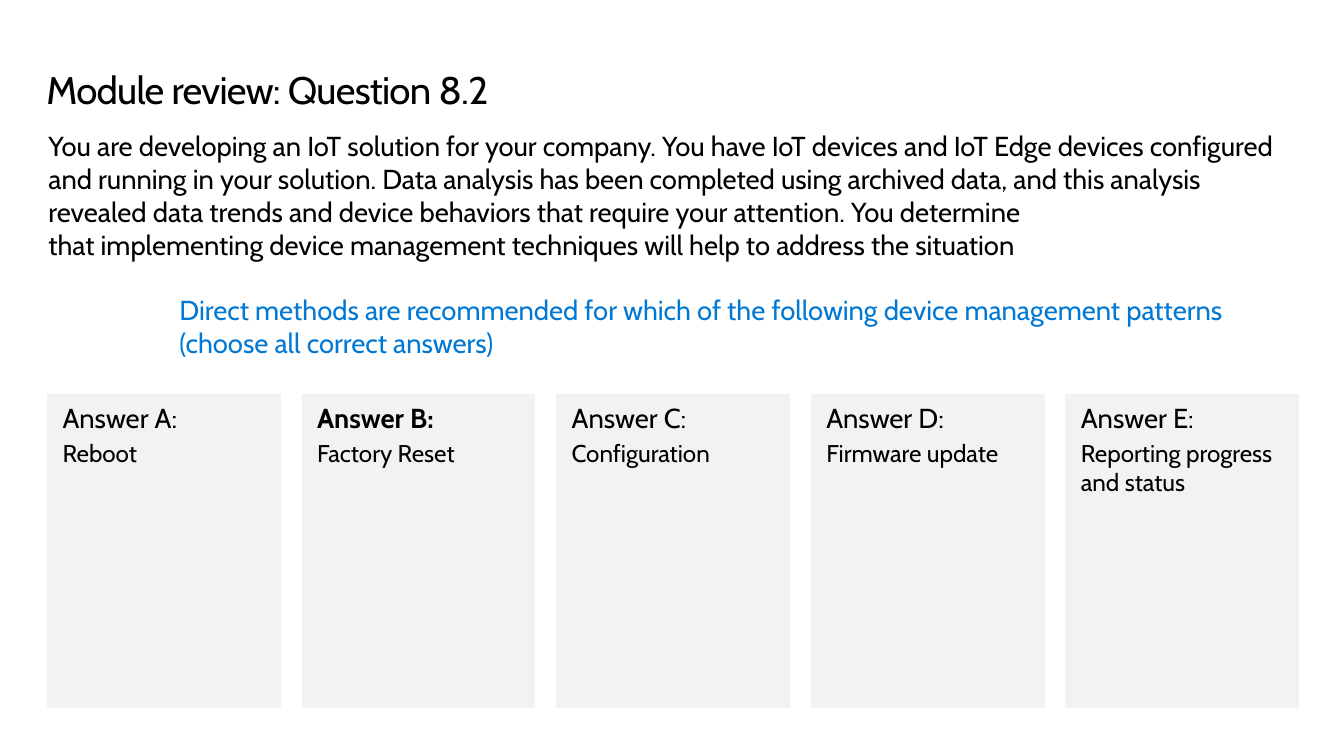
from dataclasses import dataclass

from pptx import Presentation
from pptx import util as u
from pptx.dml.color import RGBColor
from pptx.enum import shapes, text


@dataclass(frozen=True)
class Theme:
    font: str = "Cabin"
    ink: RGBColor = RGBColor(0x00, 0x00, 0x00)
    accent: RGBColor = RGBColor(0x00, 0x78, 0xD4)
    card: RGBColor = RGBColor(0xF2, 0xF2, 0xF2)
    title_size: float = 27.4
    body_size: float = 19.6
    answer_size: float = 17.3


@dataclass(frozen=True)
class TextBlock:
    left: float
    top: float
    width: float
    height: float
    wording: str
    size: float
    color: RGBColor


@dataclass(frozen=True)
class Answer:
    letter: str
    wording: str
    bold: bool = False


THEME = Theme()

TITLE = TextBlock(0.46, 0.68, 12.41, 0.44, "Module review: Question 8.2",
                  THEME.title_size, THEME.ink)
SCENARIO = TextBlock(
    0.48, 1.28, 12.41, 1.32,
    "You are developing an IoT solution for your company. You have IoT devices "
    "and IoT Edge devices configured and running in your solution. Data analysis "
    "has been completed using archived data, and this analysis revealed data "
    "trends and device behaviors that require your attention. You determine\v"
    "that implementing device management techniques will help to address the "
    "situation",
    THEME.body_size, THEME.ink)
QUESTION = TextBlock(
    1.78, 2.91, 11.24, 0.66,
    "Direct methods are recommended for which of the following device management "
    "patterns (choose all correct answers)",
    THEME.body_size, THEME.accent)

ANSWERS = [
    Answer("A", "Reboot"),
    Answer("B", "Factory Reset", bold=True),
    Answer("C", "Configuration"),
    Answer("D", "Firmware update"),
    Answer("E", "Reporting progress and status"),
]
CARD_LEFT, CARD_TOP = 0.47, 3.91
CARD_WIDTH, CARD_HEIGHT = 2.31, 3.11
CARD_PITCH = 2.525


def prepare_frame(frame, side: float = 0, edge: float = 0) -> None:
    frame.word_wrap = True
    frame.vertical_anchor = text.MSO_ANCHOR.TOP
    frame.margin_left = frame.margin_right = u.Inches(side)
    frame.margin_top = frame.margin_bottom = u.Inches(edge)


def style_paragraph(paragraph, size: float, color: RGBColor,
                    bold: bool = False) -> None:
    paragraph.alignment = text.PP_ALIGN.LEFT
    paragraph.font.name = THEME.font
    paragraph.font.size = u.Pt(size)
    paragraph.font.color.rgb = color
    paragraph.font.bold = bold


def add_text_block(slide, block: TextBlock):
    box = slide.shapes.add_textbox(u.Inches(block.left), u.Inches(block.top),
                                   u.Inches(block.width), u.Inches(block.height))
    prepare_frame(box.text_frame)
    paragraph = box.text_frame.paragraphs[0]
    paragraph.text = block.wording
    style_paragraph(paragraph, block.size, block.color)
    return paragraph


def add_answer_card(slide, answer: Answer, left: float) -> None:
    card = slide.shapes.add_shape(
        shapes.MSO_SHAPE.RECTANGLE, u.Inches(left), u.Inches(CARD_TOP),
        u.Inches(CARD_WIDTH), u.Inches(CARD_HEIGHT))
    card.shadow.inherit = False
    card.fill.solid()
    card.fill.fore_color.rgb = THEME.card
    card.line.color.rgb = THEME.card
    card.line.width = u.Pt(0.5)

    frame = card.text_frame
    prepare_frame(frame, side=0.15, edge=0.07)
    heading = frame.paragraphs[0]
    heading.text = f"Answer {answer.letter}:"
    style_paragraph(heading, THEME.body_size, THEME.ink, answer.bold)
    detail = frame.add_paragraph()
    detail.text = answer.wording
    detail.space_before = u.Pt(2.9)
    style_paragraph(detail, THEME.answer_size, THEME.ink)


def main() -> None:
    presentation = Presentation()
    presentation.slide_width = u.Inches(13.33)
    presentation.slide_height = u.Inches(7.5)
    slide = presentation.slides.add_slide(presentation.slide_layouts[6])

    # Title with slightly tightened letters
    title = add_text_block(slide, TITLE)
    title.line_spacing = u.Pt(31.4)
    title.runs[0].font._element.set("spc", "-50")

    # Scenario and question
    add_text_block(slide, SCENARIO)
    add_text_block(slide, QUESTION)

    # Row of answer cards
    for index, answer in enumerate(ANSWERS):
        add_answer_card(slide, answer, CARD_LEFT + index * CARD_PITCH)

    presentation.save("out.pptx")


if __name__ == "__main__":
    main()
